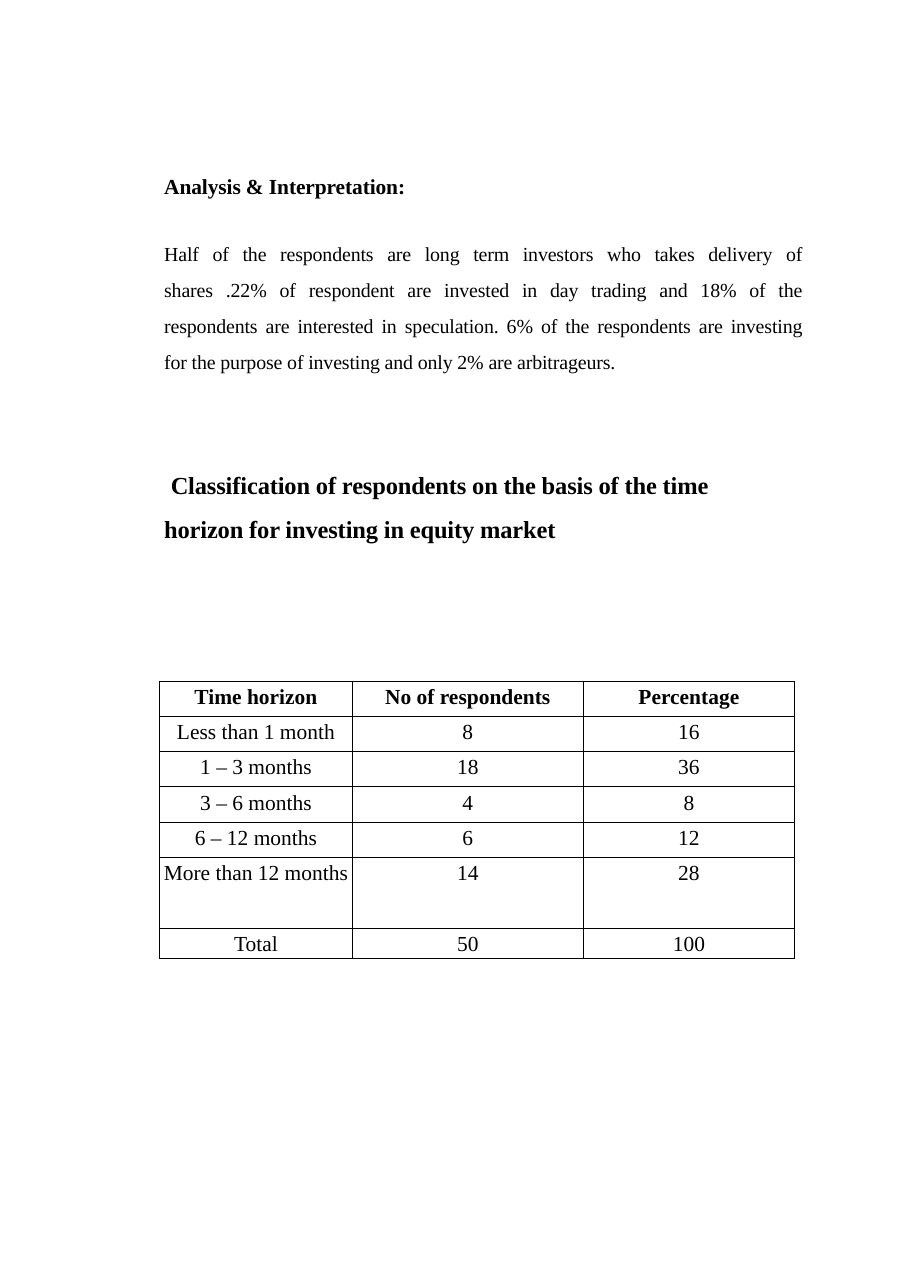
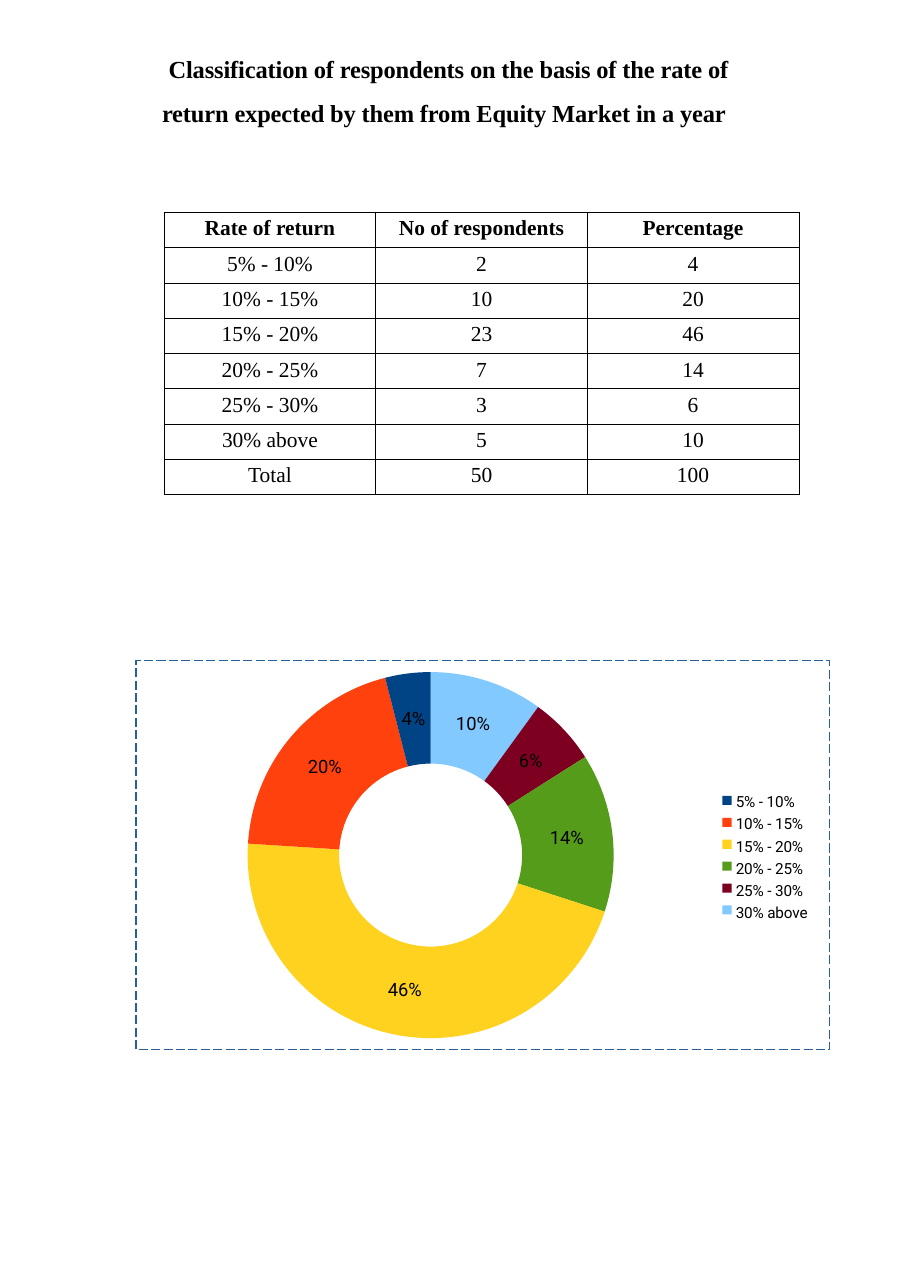
import dataclasses

import lxml.etree
import pptx
import pptx.chart.data
import pptx.dml.color
import pptx.enum.chart
import pptx.enum.dml
import pptx.enum.shapes
import pptx.enum.text
import pptx.oxml
import pptx.oxml.ns
import pptx.util

ALIGN = pptx.enum.text.PP_ALIGN
WIDTH = pptx.util.Inches(8.26)
HEIGHT = pptx.util.Inches(11.69)


@dataclasses.dataclass(frozen=True)
class Theme:
    serif: str = "Times New Roman"
    sans: str = "Roboto"
    ink: str = "000000"
    frame: str = "295F99"
    rings: tuple = ("004485", "FF410D", "FFD21F", "569C1B", "7D0020", "82C9FF")
    title: float = 16
    strong: float = 14
    body: float = 13
    label: float = 12
    legend: float = 10
    leading: float = 1.5
    tracking: int = -8


THEME = Theme()
ROW = 2.74

TIME_ROWS = [
    ("Time horizon", "No of respondents", "Percentage"),
    ("Less than 1 month", 8, 16),
    ("1 – 3 months", 18, 36),
    ("3 – 6 months", 4, 8),
    ("6 – 12 months", 6, 12),
    ("More than 12 months", 14, 28),
    ("Total", 50, 100),
]
RETURN_ROWS = [
    ("Rate of return", "No of respondents", "Percentage"),
    ("5% - 10%", 2, 4),
    ("10% - 15%", 10, 20),
    ("15% - 20%", 23, 46),
    ("20% - 25%", 7, 14),
    ("25% - 30%", 3, 6),
    ("30% above", 5, 10),
    ("Total", 50, 100),
]
FRAME = (14.94, 51.28, 76.21, 30.24)


def across(share):
    return round(WIDTH * share / 100)


def down(share):
    return round(HEIGHT * share / 100)


def area(left, top, width, height):
    return across(left), down(top), across(width), down(height)


def colour(value):
    return pptx.dml.color.RGBColor.from_string(value)


def style_font(font, size, bold=False, name=THEME.serif):
    font.name = name
    font.size = pptx.util.Pt(size)
    font.bold = bold
    font.color.rgb = colour(THEME.ink)


def write(para, text, size, bold=False, name=THEME.serif, align=ALIGN.LEFT,
          leading=1.0, before=0, indent=0, tracking=0):
    para.text = text
    para.alignment = align
    para.line_spacing = leading
    para.space_before = pptx.util.Pt(before)
    style_font(para.font, size, bold, name)
    properties = para._p.get_or_add_pPr()
    properties.set("marL", "0")
    properties.set("indent", str(pptx.util.Inches(indent)))
    defaults = properties.find(pptx.oxml.ns.qn("a:defRPr"))
    defaults.addprevious(pptx.oxml.parse_xml(
        f'<a:buNone {pptx.oxml.ns.nsdecls("a")}/>'))
    if tracking:
        for span in para.runs:
            span._r.get_or_add_rPr().set("spc", str(tracking))


def prepare(box, place):
    box.left, box.top, box.width, box.height = area(*place)
    frame = box.text_frame
    frame.word_wrap = True
    frame.auto_size = pptx.enum.text.MSO_AUTO_SIZE.NONE
    frame.vertical_anchor = pptx.enum.text.MSO_ANCHOR.TOP
    frame.margin_left = frame.margin_right = frame.margin_bottom = 0
    frame.margin_top = pptx.util.Inches(0.01)
    return frame


def set_title(page, text, place):
    frame = prepare(page.shapes.title, place)
    write(frame.paragraphs[0], text, THEME.title, bold=True,
          leading=THEME.leading, indent=0.06, tracking=THEME.tracking)


def set_analysis(page, heading, text, place):
    frame = prepare(page.placeholders[1], place)
    write(frame.paragraphs[0], heading, THEME.strong, bold=True,
          tracking=THEME.tracking)
    write(frame.add_paragraph(), text, THEME.body, align=ALIGN.JUSTIFY,
          leading=THEME.leading, before=20.5, tracking=THEME.tracking)


def border_cell(cell):
    properties = cell._tc.get_or_add_tcPr()
    for position, side in enumerate(("lnL", "lnR", "lnT", "lnB")):
        properties.insert(position, pptx.oxml.parse_xml(
            f'<a:{side} {pptx.oxml.ns.nsdecls("a")} w="6350"><a:solidFill>'
            f'<a:srgbClr val="{THEME.ink}"/></a:solidFill></a:{side}>'))


def add_grid(page, rows, left, top, columns, heights):
    table = page.shapes.add_table(
        len(rows), len(columns),
        *area(left, top, sum(columns), sum(heights))).table
    table.first_row = table.horz_banding = False
    for column, width in zip(table.columns, columns):
        column.width = across(width)
    for number, (line, values, height) in enumerate(zip(table.rows, rows, heights)):
        line.height = down(height)
        for cell, value in zip(line.cells, values):
            cell.margin_left = cell.margin_right = cell.margin_bottom = 0
            cell.margin_top = pptx.util.Inches(0.04)
            cell.fill.background()
            border_cell(cell)
            write(cell.text_frame.paragraphs[0], str(value), THEME.strong,
                  bold=number == 0, align=ALIGN.CENTER)


def place_plot(chart, **shares):
    plot_area = chart._chartSpace.chart.plotArea
    for layout in plot_area.findall(pptx.oxml.ns.qn("c:layout")):
        plot_area.remove(layout)
    layout = lxml.etree.Element(pptx.oxml.ns.qn("c:layout"))
    manual = lxml.etree.SubElement(layout, pptx.oxml.ns.qn("c:manualLayout"))
    settings = {"layoutTarget": "inner", "xMode": "edge", "yMode": "edge", **shares}
    for name, value in settings.items():
        lxml.etree.SubElement(
            manual, pptx.oxml.ns.qn(f"c:{name}")).set("val", str(value))
    plot_area.insert(0, layout)


def add_ring(page, shares, place):
    clockwise = list(reversed(shares))
    data = pptx.chart.data.CategoryChartData(number_format="0%")
    data.categories = [name for name, _, _ in clockwise]
    data.add_series("Percentage", [percent / 100 for _, _, percent in clockwise])
    chart = page.shapes.add_chart(
        pptx.enum.chart.XL_CHART_TYPE.DOUGHNUT, *area(*place), data).chart
    chart.has_legend = chart.has_title = False
    style_font(chart.font, THEME.label, name=THEME.sans)
    place_plot(chart, x=0.16, y=0.03, w=0.53, h=0.94)
    plot = chart.plots[0]
    plot.vary_by_categories = True
    plot.has_data_labels = True
    labels = plot.data_labels
    labels.show_value = True
    labels.show_percentage = False
    labels.number_format = "0%"
    labels.number_format_is_linked = False
    style_font(labels.font, THEME.label, name=THEME.sans)
    for number, ring in enumerate(reversed(THEME.rings)):
        point = plot.series[0].points[number].format
        point.fill.solid()
        point.fill.fore_color.rgb = colour(ring)
        point.line.fill.background()


def add_rectangle(page, *place):
    box = page.shapes.add_shape(pptx.enum.shapes.MSO_SHAPE.RECTANGLE, *place)
    box.shadow.inherit = False
    return box


def add_border(page, place):
    box = add_rectangle(page, *area(*place))
    box.fill.background()
    box.line.color.rgb = colour(THEME.frame)
    box.line.width = pptx.util.Pt(0.75)
    box.line.dash_style = pptx.enum.dml.MSO_LINE.LONG_DASH


def add_legend(page, names, left, top, pitch):
    side = across(1)
    place = (left + 1.45, top - 0.38, 9.1, pitch * len(names))
    frame = prepare(page.shapes.add_textbox(*area(*place)), place)
    for number, (name, ring) in enumerate(zip(names, THEME.rings)):
        swatch = add_rectangle(
            page, across(left), down(top + number * pitch), side, side)
        swatch.fill.solid()
        swatch.fill.fore_color.rgb = colour(ring)
        swatch.line.fill.background()
        para = frame.add_paragraph() if number else frame.paragraphs[0]
        write(para, name, THEME.legend, name=THEME.sans,
              before=2.55 if number else 0, tracking=THEME.tracking)


def build_horizon(deck):
    page = deck.slides.add_slide(deck.slide_layouts[1])
    set_analysis(
        page, "Analysis & Interpretation:",
        "Half of the respondents are long term investors who takes delivery of\v"
        "shares .22% of respondent are invested in day trading and 18% of the\v"
        "respondents are interested in speculation. 6% of the respondents are investing\v"
        "for the purpose of investing and only 2% are arbitrageurs.",
        (18.04, 13.34, 70.1, 15.06))
    set_title(
        page,
        "Classification of respondents on the basis of the time\v"
        "horizon for investing in equity market",
        (18.04, 35.24, 66.2, 6.42))
    add_grid(page, TIME_ROWS, 17.56, 53.2 - 0.33, (21.15, 25.4, 23.2),
             [ROW] * 5 + [5.51, 2.33])


def build_returns(deck):
    page = deck.slides.add_slide(deck.slide_layouts[5])
    set_title(
        page,
        "Classification of respondents on the basis of the rate of\v"
        "return expected by them from Equity Market in a year",
        (17.8, 2.99, 68, 6.42))
    add_grid(page, RETURN_ROWS, 18.05, 16.5, [23.25] * 3,
             [ROW] * len(RETURN_ROWS))
    shares = RETURN_ROWS[1:-1]
    add_ring(page, shares, FRAME)
    add_border(page, FRAME)
    add_legend(page, [name for name, _, _ in shares], 79.4, 61.8, 1.7)


def main():
    deck = pptx.Presentation()
    deck.slide_width, deck.slide_height = WIDTH, HEIGHT
    build_horizon(deck)
    build_returns(deck)
    deck.save("out.pptx")


if __name__ == "__main__":
    main()
